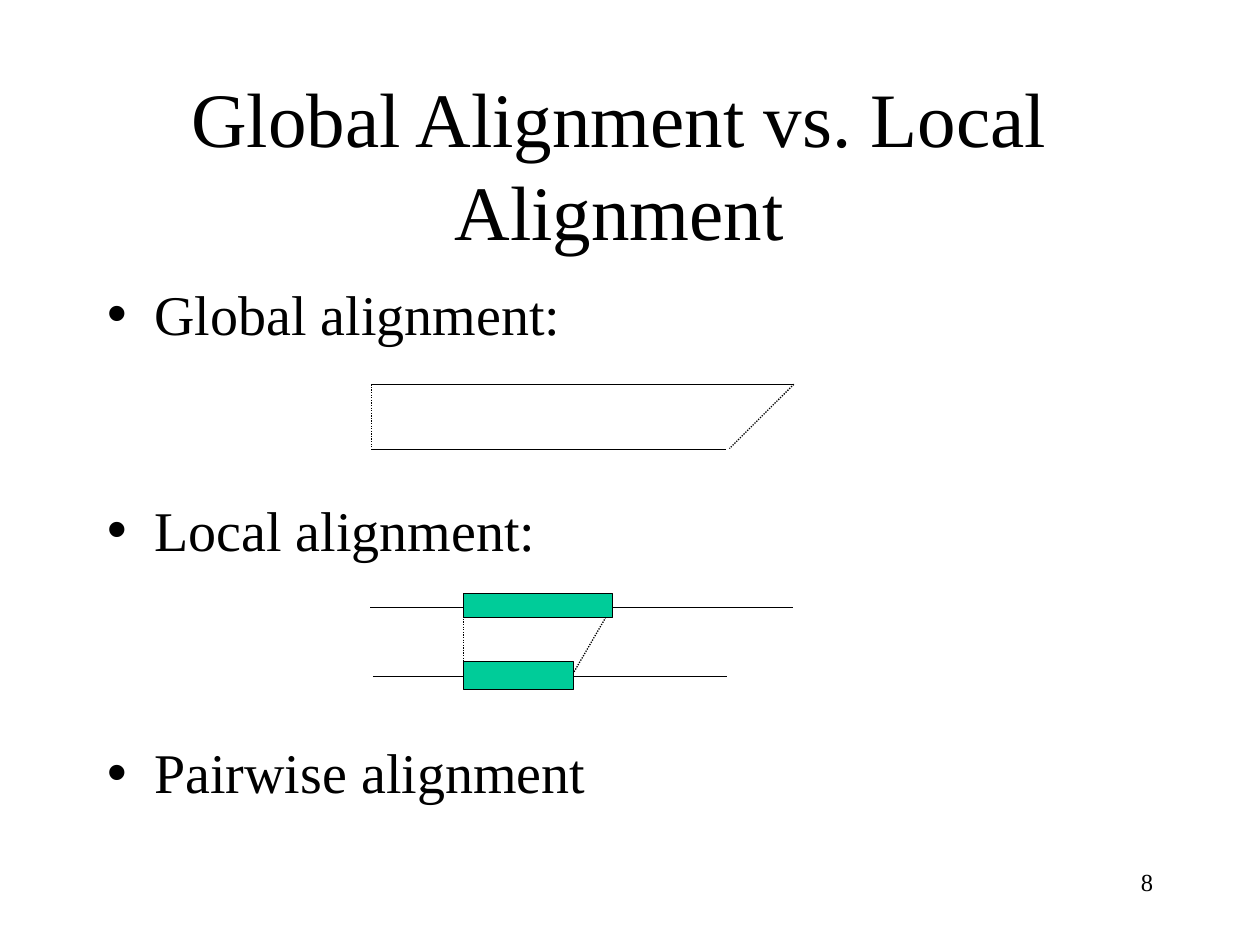
from lxml import etree
from pptx import Presentation
from pptx.dml.color import RGBColor
from pptx.enum import dml, shapes, text
from pptx.oxml.ns import qn
from pptx.util import Inches, Pt

COLORS = {"ink": "000000", "match": "00CC99"}
FONT = "Times New Roman"
LINE_WIDTH = Pt(0.75)


def color(name):
    return RGBColor.from_string(COLORS[name])


def place(shape, left, top, width, height):
    shape.left, shape.top = Inches(left), Inches(top)
    shape.width, shape.height = Inches(width), Inches(height)


def format_frame(frame, anchor):
    frame.word_wrap = True
    frame.auto_size = text.MSO_AUTO_SIZE.NONE
    frame.vertical_anchor = anchor


def write(para, words, size, align):
    para.text = words
    para.alignment = align
    para.font.name = FONT
    para.font.size = Pt(size)
    para.font.color.rgb = color("ink")


def add_title(page, words):
    title = page.shapes.title
    place(title, 0.58, 0.67, 8.67, 1.25)
    format_frame(title.text_frame, text.MSO_ANCHOR.MIDDLE)
    write(title.text_frame.paragraphs[0], words, 44, text.PP_ALIGN.CENTER)


def add_bullets(page, items):
    """Fill the body with (words, space before in points) items."""
    body = page.placeholders[1]
    place(body, 0.75, 2.17, 8.5, 4.5)
    frame = body.text_frame
    format_frame(frame, text.MSO_ANCHOR.TOP)
    for index, (words, gap) in enumerate(items):
        para = frame.add_paragraph() if index else frame.paragraphs[0]
        para.space_before = Pt(gap)
        write(para, words, 32, text.PP_ALIGN.LEFT)


def add_line(page, x1, y1, x2, y2, dotted=False):
    line = page.shapes.add_connector(
        shapes.MSO_CONNECTOR.STRAIGHT,
        Inches(x1), Inches(y1), Inches(x2), Inches(y2))
    line.line.color.rgb = color("ink")
    line.line.width = LINE_WIDTH
    if dotted:
        line.line.dash_style = dml.MSO_LINE.ROUND_DOT
    etree.SubElement(line._element.spPr, qn("a:effectLst"))


def add_match(page, left, top, width, height):
    box = page.shapes.add_shape(
        shapes.MSO_SHAPE.RECTANGLE,
        Inches(left), Inches(top), Inches(width), Inches(height))
    box.shadow.inherit = False
    box.fill.solid()
    box.fill.fore_color.rgb = color("match")
    box.line.color.rgb = color("ink")
    box.line.width = LINE_WIDTH


def add_page_number(page, number):
    box = page.shapes.add_textbox(
        Inches(7.17), Inches(6.83), Inches(2.08), Inches(0.5))
    format_frame(box.text_frame, text.MSO_ANCHOR.TOP)
    write(box.text_frame.paragraphs[0], number, 14, text.PP_ALIGN.RIGHT)


def main():
    deck = Presentation()
    deck.slide_width, deck.slide_height = Inches(10), Inches(7.5)
    page = deck.slides.add_slide(deck.slide_layouts[1])

    add_title(page, "Global Alignment vs. Local Alignment")
    add_bullets(page, [("Global alignment:", 0),
                       ("Local alignment:", 85),
                       ("Pairwise alignment", 100)])

    # Global alignment: both sequences matched end to end
    add_line(page, 2.95, 3.05, 6.3, 3.05)
    add_line(page, 2.95, 3.57, 5.76, 3.57)
    add_line(page, 2.95, 3.05, 2.95, 3.57, dotted=True)
    add_line(page, 6.3, 3.05, 5.79, 3.56, dotted=True)

    # Local alignment: only the boxed regions matched
    add_line(page, 2.94, 4.82, 6.29, 4.82)
    add_line(page, 2.96, 5.37, 5.77, 5.37)
    add_line(page, 3.68, 4.83, 3.68, 5.38, dotted=True)
    add_line(page, 4.86, 4.81, 4.54, 5.36, dotted=True)
    add_match(page, 3.68, 4.71, 1.18, 0.19)
    add_match(page, 3.68, 5.25, 0.87, 0.22)

    add_page_number(page, "8")
    deck.save("out.pptx")


if __name__ == "__main__":
    main()
